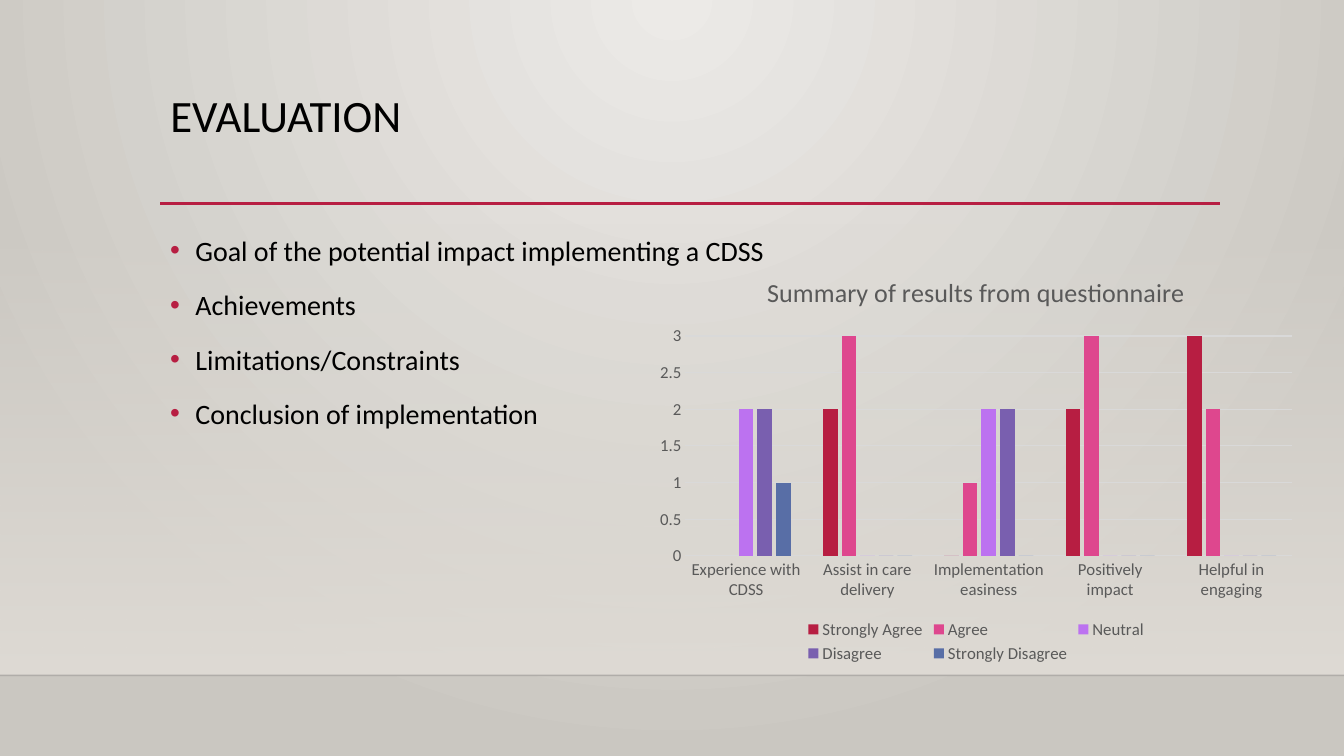
from dataclasses import dataclass

from lxml.etree import SubElement
from pptx import Presentation
from pptx.chart.data import CategoryChartData
from pptx.dml.color import RGBColor
from pptx.enum.chart import XL_CHART_TYPE, XL_LEGEND_POSITION, XL_TICK_MARK
from pptx.enum.shapes import MSO_CONNECTOR, MSO_SHAPE
from pptx.enum.text import MSO_ANCHOR, PP_ALIGN
from pptx.oxml.ns import qn
from pptx.util import Pt


@dataclass(frozen=True)
class Theme:
    font: str = "Calibri"
    text: str = "000000"
    accent: str = "B71E42"
    center: str = "ECEAE7"
    edge: str = "CAC7C1"
    panel: str = "DFDBD5"
    floor_line: str = "000001"
    chart_text: str = "595959"
    grid: str = "D9D9D9"
    series: tuple = ("B71E42", "DE478E", "BC72F0", "795FAF", "586EA6")
    title_size: float = 32
    body_size: float = 20
    chart_title_size: float = 18.6
    chart_size: float = 12


THEME = Theme()
WIDTH, HEIGHT = 960, 540
MARGIN, CONTENT_WIDTH = 114.5, 756
FLOOR = 482.4

BULLETS = (
    "Goal of the potential impact implementing a CDSS",
    "Achievements",
    "Limitations/Constraints",
    "Conclusion of implementation",
)
QUESTIONS = (
    "Experience with CDSS",
    "Assist in care delivery",
    "Implementation easiness",
    "Positively impact",
    "Helpful in engaging",
)
ANSWERS = {
    "Strongly Agree": (None, 2, 0, 2, 3),
    "Agree": (None, 3, 1, 3, 2),
    "Neutral": (2, 0, 2, 0, 0),
    "Disagree": (2, 0, 2, 0, 0),
    "Strongly Disagree": (1, 0, 0, 0, 0),
}


def rgb(color):
    return RGBColor.from_string(color)


def style_font(font, size, color):
    font.name = THEME.font
    font.size = Pt(size)
    font.bold = False
    font.color.rgb = rgb(color)


def set_alpha(parent, percent):
    """Make the first colour found inside parent partly transparent."""
    color = next(parent.iter(qn("a:srgbClr")))
    SubElement(color, qn("a:alpha"), val=str(percent * 1000))


def set_gradient(fill, start, end):
    fill.gradient()
    for stop, color, position in zip(fill.gradient_stops, (start, end), (0, 1)):
        stop.color.rgb = rgb(color)
        stop.position = position


def paint_background(slide):
    """Fill the background with light spreading from the top centre."""
    set_gradient(slide.background.fill, THEME.center, THEME.edge)
    gradient = next(slide.element.iter(qn("a:gradFill")))
    gradient.remove(gradient.find(qn("a:lin")))
    circle = SubElement(gradient, qn("a:path"), path="circle")
    SubElement(circle, qn("a:fillToRect"), l="43000", t="0", r="43000", b="100000")


def add_fading_panel(slide, top, height):
    panel = slide.shapes.add_shape(
        MSO_SHAPE.RECTANGLE, Pt(0), Pt(top), Pt(WIDTH), Pt(height))
    panel.shadow.inherit = False
    panel.line.fill.background()
    set_gradient(panel.fill, THEME.panel, THEME.panel)
    panel.fill.gradient_angle = 270
    set_alpha(panel.element.spPr, 0)


def add_rule(slide, left, right, y, color, weight):
    rule = slide.shapes.add_connector(
        MSO_CONNECTOR.STRAIGHT, Pt(left), Pt(y), Pt(right), Pt(y))
    rule.line.color.rgb = rgb(color)
    rule.line.width = Pt(weight)
    SubElement(rule.element.spPr, qn("a:effectLst"))
    return rule


def set_title(slide, text):
    title = slide.shapes.title
    title.left, title.top = Pt(MARGIN), Pt(63.4)
    title.width, title.height = Pt(CONTENT_WIDTH), Pt(82.8)
    text_frame = title.text_frame
    text_frame.text = text
    text_frame.vertical_anchor = MSO_ANCHOR.TOP
    paragraph = text_frame.paragraphs[0]
    paragraph.alignment = PP_ALIGN.LEFT
    paragraph.line_spacing = 0.9
    style_font(paragraph.runs[0].font, THEME.title_size, THEME.text)


def add_bullet(paragraph):
    properties = paragraph._p.get_or_add_pPr()
    properties.set("marL", str(Pt(18)))
    properties.set("indent", str(-Pt(18)))
    color = SubElement(properties, qn("a:buClr"))
    SubElement(color, qn("a:srgbClr"), val=THEME.accent)
    SubElement(properties, qn("a:buFont"), typeface="Arial")
    SubElement(properties, qn("a:buChar"), char="•")


def add_bullet_list(slide, items):
    box = slide.shapes.add_textbox(
        Pt(MARGIN), Pt(158.4), Pt(CONTENT_WIDTH), Pt(271.4))
    text_frame = box.text_frame
    text_frame.word_wrap = True
    text_frame.text = "\n".join(items)
    for paragraph in text_frame.paragraphs:
        paragraph.line_spacing = 1.2
        paragraph.space_before = Pt(10)
        add_bullet(paragraph)
        style_font(paragraph.runs[0].font, THEME.body_size, THEME.text)


def style_axis(axis):
    axis.major_tick_mark = axis.minor_tick_mark = XL_TICK_MARK.NONE
    style_font(axis.tick_labels.font, THEME.chart_size, THEME.chart_text)


def style_hairline(line):
    line.color.rgb = rgb(THEME.grid)
    line.width = Pt(0.75)


def add_column_chart(slide, title):
    data = CategoryChartData(number_format="General")
    data.categories = QUESTIONS
    for name, values in ANSWERS.items():
        data.add_series(name, values)
    chart = slide.shapes.add_chart(
        XL_CHART_TYPE.COLUMN_CLUSTERED,
        Pt(462.2), Pt(182.9), Pt(470.2), Pt(293.8), data).chart
    style_font(chart.font, THEME.chart_size, THEME.chart_text)

    chart.has_title = True
    chart.chart_title.include_in_layout = False
    text_frame = chart.chart_title.text_frame
    text_frame.text = title
    style_font(text_frame.paragraphs[0].runs[0].font,
               THEME.chart_title_size, THEME.chart_text)

    chart.has_legend = True
    chart.legend.position = XL_LEGEND_POSITION.BOTTOM
    chart.legend.include_in_layout = False
    style_font(chart.legend.font, THEME.chart_size, THEME.chart_text)

    style_axis(chart.category_axis)
    style_hairline(chart.category_axis.format.line)
    value_axis = chart.value_axis
    style_axis(value_axis)
    value_axis.minimum_scale, value_axis.maximum_scale = 0, 3
    value_axis.major_unit = 0.5
    value_axis.format.line.fill.background()
    style_hairline(value_axis.major_gridlines.format.line)

    plot = chart.plots[0]
    plot.vary_by_categories = False
    plot.gap_width, plot.overlap = 219, -27
    for series, color in zip(plot.series, THEME.series):
        series.format.fill.solid()
        series.format.fill.fore_color.rgb = rgb(color)


def main():
    presentation = Presentation()
    presentation.slide_width, presentation.slide_height = Pt(WIDTH), Pt(HEIGHT)
    slide = presentation.slides.add_slide(presentation.slide_layouts[5])
    paint_background(slide)
    add_fading_panel(slide, 159.1, FLOOR - 159.1)
    floor = add_rule(slide, 0, WIDTH, FLOOR, THEME.floor_line, 1)
    set_alpha(floor.element.spPr, 20)
    add_rule(slide, MARGIN, 871.2, 145.4, THEME.accent, 2.5)
    set_title(slide, "EVALUATION")
    add_bullet_list(slide, BULLETS)
    add_column_chart(slide, "Summary of results from questionnaire")
    presentation.save("out.pptx")


if __name__ == "__main__":
    main()
